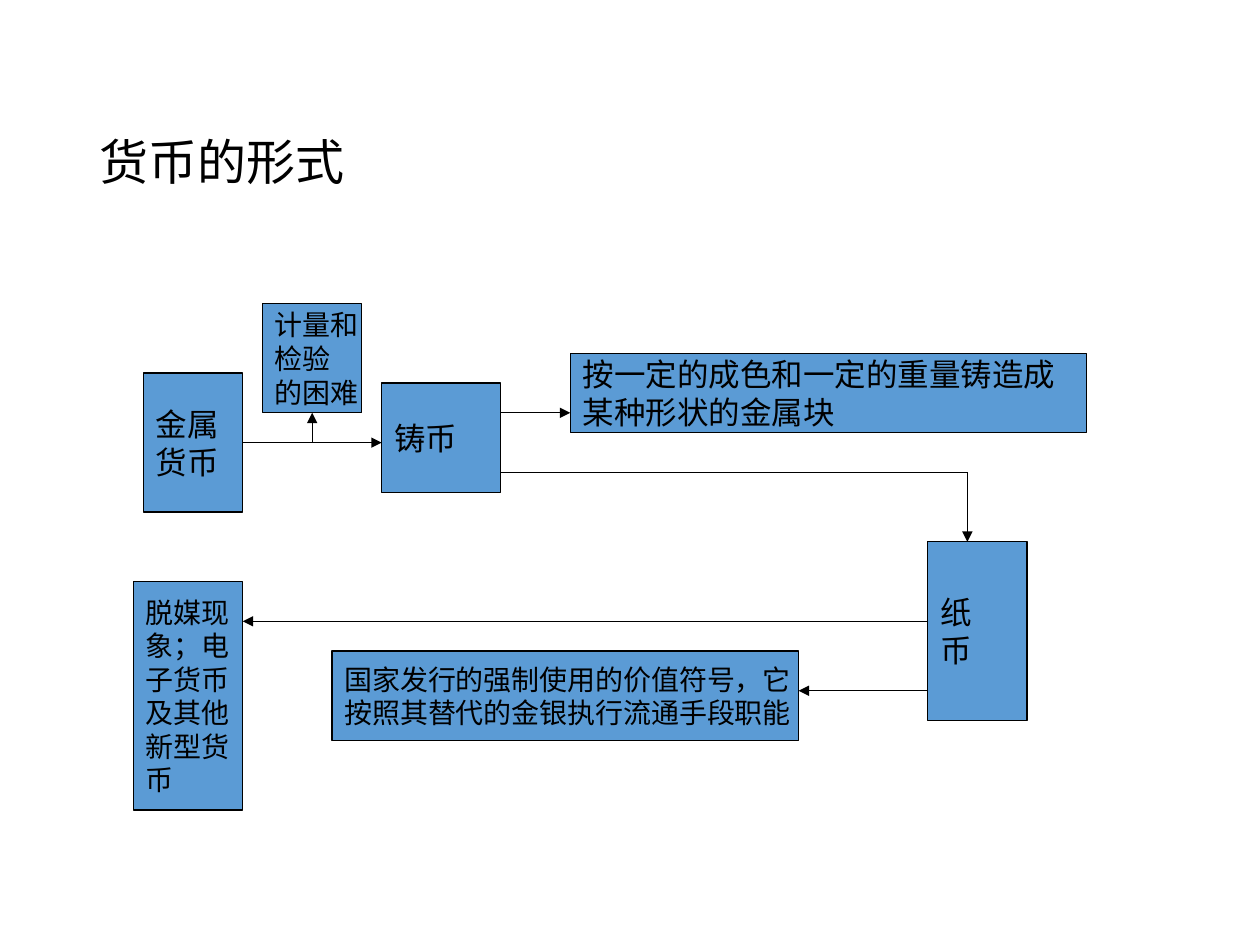
from lxml import etree
from pptx import Presentation
from pptx.dml.color import RGBColor
from pptx.enum import shapes, text
from pptx.oxml.ns import qn
from pptx.util import Pt

BLUE = RGBColor(0x5B, 0x9B, 0xD5)
BLACK = RGBColor(0, 0, 0)
TITLE_FONT = "Noto Sans CJK SC"
BODY_FONT = "Times New Roman"
COLUMNS = 96  # the flow chart sits on a square grid this many cells wide
TOP, LEFT, BOTTOM, RIGHT = range(4)  # connection sites of a rectangle

# name: (left, top, width, height) in grid cells, text size, lines
NODES = {
    "metal": ((1, 7, 10, 14), 18, ["金属", "货币"]),
    "coin": ((25, 8, 12, 11), 18, ["铸币"]),
    "casting": ((44, 5, 52, 8), 18,
                ["按一定的成色和一定的重量铸造成", "某种形状的金属块"]),
    "difficulty": ((13, 0, 10, 11), 16, ["计量和", "检验", "的困难"]),
    "paper": ((80, 24, 10, 18), 18, ["纸", "币"]),
    "state": ((20, 35, 47, 9), 16,
              ["国家发行的强制使用的价值符号，它", "按照其替代的金银执行流通手段职能"]),
    "new": ((0, 28, 11, 23), 16,
            ["脱媒现", "象；电", "子货币", "及其他", "新型货", "币"]),
}

# from, to in grid cells, arrowhead, joined start, joined end
LINKS = [
    ((11, 14), (25, 14), True, ("metal", RIGHT), None),
    ((18, 14), (18, 11), True, None, ("difficulty", BOTTOM)),
    ((37, 11), (44, 11), True, None, None),
    ((37, 17), (84, 17), False, None, None),
    ((84, 17), (84, 24), True, None, None),
    ((80, 32), (11, 32), True, None, None),
    ((80, 39), (67, 39), True, None, None),
]


def add_run(p, words, size, font):
    r = p.add_run()
    r.text = words
    r.font.size = Pt(size)
    r.font.name = font
    r.font.color.rgb = BLACK


def add_title(s, left, top, width, height):
    sp = s.shapes.title
    sp.left, sp.top, sp.width, sp.height = map(Pt, (left, top, width, height))
    tf = sp.text_frame
    tf.vertical_anchor = text.MSO_ANCHOR.MIDDLE
    p = tf.paragraphs[0]
    p.alignment = text.PP_ALIGN.LEFT
    p.line_spacing = 0.9
    add_run(p, "货币的形式", 28, TITLE_FONT)


def add_node(s, box, size, lines):
    sp = s.shapes.add_shape(shapes.MSO_SHAPE.RECTANGLE, *map(Pt, box))
    sp.shadow.inherit = False
    sp.fill.solid()
    sp.fill.fore_color.rgb = BLUE
    sp.line.color.rgb = BLACK
    sp.line.width = Pt(0.75)
    tf = sp.text_frame
    tf.word_wrap = False
    tf.vertical_anchor = text.MSO_ANCHOR.MIDDLE
    for i, line in enumerate(lines):
        p = tf.add_paragraph() if i else tf.paragraphs[0]
        p.alignment = text.PP_ALIGN.LEFT
        add_run(p, line, size, BODY_FONT)
    return sp


def add_link(s, start, end, arrow):
    c = s.shapes.add_connector(shapes.MSO_CONNECTOR.STRAIGHT,
                               *map(Pt, start + end))
    c.line.color.rgb = BLACK
    c.line.width = Pt(0.75)
    if arrow:
        etree.SubElement(c.line._get_or_add_ln(), qn("a:tailEnd"), type="triangle")
    etree.SubElement(c._element.spPr, qn("a:effectLst"))
    return c


def add_flow(s, left, top, width):
    cell = width / COLUMNS

    def place(x, y):
        return left + x * cell, top + y * cell

    # Boxes
    nodes = {}
    for name, ((x, y, w, h), size, lines) in NODES.items():
        box = place(x, y) + (w * cell, h * cell)
        nodes[name] = add_node(s, box, size, lines)

    # Arrows, joined where they meet the middle of a side
    for start, end, arrow, source, target in LINKS:
        c = add_link(s, place(*start), place(*end), arrow)
        if source:
            c.begin_connect(nodes[source[0]], source[1])
        if target:
            c.end_connect(nodes[target[0]], target[1])


def main():
    prs = Presentation()
    prs.slide_width, prs.slide_height = Pt(720), Pt(540)
    s = prs.slides.add_slide(prs.slide_layouts[5])  # title only
    add_title(s, 49.7, 63.4, 452.9, 61.2)
    add_flow(s, 76.3, 173.5, 544.6)
    prs.save("out.pptx")


if __name__ == "__main__":
    main()
